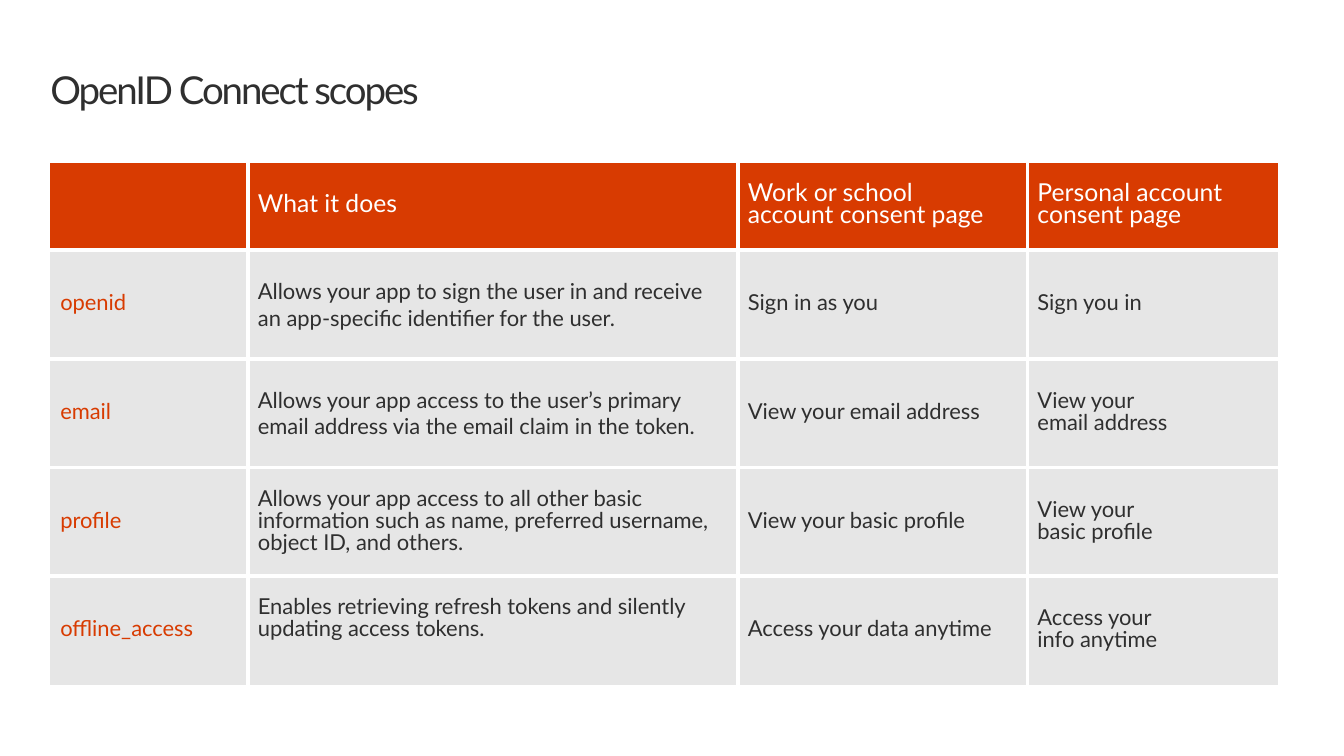
from dataclasses import dataclass

from lxml.etree import SubElement
from pptx import Presentation
from pptx.dml.color import RGBColor as RGB
from pptx.enum.text import MSO_ANCHOR as Anchor, MSO_AUTO_SIZE as AutoSize, PP_ALIGN as Align
from pptx.oxml.ns import qn
from pptx.util import Pt

TITLE = "OpenID Connect scopes"
HEADINGS = ("", "What it does", "Work or school\vaccount consent page",
            "Personal account consent page")
SCOPES = [
    ("openid",
     "Allows your app to sign the user in and receive an app-specific identifier for the user.",
     "Sign in as you", "Sign you in"),
    ("email",
     "Allows your app access to the user’s primary email address via the email claim in the token.",
     "View your email address", "View your\vemail address"),
    ("profile",
     "Allows your app access to all other basic information such as name, "
     "preferred username, object ID, and others.",
     "View your basic profile", "View your\vbasic profile"),
    ("offline_access",
     "Enables retrieving refresh tokens and silently updating access tokens.",
     "Access your data anytime", "Access your\vinfo anytime"),
]
LOOSE_DESCRIPTIONS = {"openid", "email"}
RAISED_DESCRIPTION = "offline_access"


@dataclass(frozen=True)
class Theme:
    font: str = "Lato"
    ink: str = "2F2F2F"
    accent: str = "D83B01"
    panel: str = "E6E6E6"
    white: str = "FFFFFF"
    title_size: int = 28
    heading_size: int = 18
    body_size: int = 16
    title_leading: int = 32
    leading: int = 16
    gap: int = 3


THEME = Theme()
SLIDE_W, SLIDE_H = 979.2, 550.8
LEFT, TITLE_TOP, TABLE_TOP = 36.7, 49.7, 118.8
TITLE_W, TITLE_H = 908, 32.4
COLUMN_WIDTHS = (144, 357, 211, 182.2)
HEADING_H, SCOPE_H = 63.4, 79.2


def write(frame, text, size, color, leading=None, tracking=None):
    paragraph = frame.paragraphs[0]
    paragraph.text = text
    paragraph.alignment = Align.LEFT
    paragraph.line_spacing = Pt(leading) if leading else 1.0
    for run in paragraph.runs:
        run.font.name = THEME.font
        run.font.size = Pt(size)
        run.font.bold = False
        run.font.color.rgb = RGB.from_string(color)
        if tracking:
            run.font._element.set("spc", str(int(tracking * 100)))


def rule_cell(cell, inner_sides):
    """Draw white gaps on the inner sides and leave the outer sides without a line."""
    properties = cell._tc.get_or_add_tcPr()
    for side in "LRTB":
        line = SubElement(properties, qn(f"a:ln{side}"), w=str(Pt(THEME.gap)))
        if side in inner_sides:
            fill = SubElement(line, qn("a:solidFill"))
            SubElement(fill, qn("a:srgbClr"), val=THEME.white)
        else:
            SubElement(line, qn("a:noFill"))


def add_title(slide):
    title = slide.shapes.title
    title.left, title.top = Pt(LEFT), Pt(TITLE_TOP)
    title.width, title.height = Pt(TITLE_W), Pt(TITLE_H)
    frame = title.text_frame
    frame.margin_left = frame.margin_right = frame.margin_top = frame.margin_bottom = 0
    frame.word_wrap = True
    frame.vertical_anchor = Anchor.TOP
    frame.auto_size = AutoSize.SHAPE_TO_FIT_TEXT
    write(frame, TITLE, THEME.title_size, THEME.ink, THEME.title_leading, tracking=-1.5)


def add_scope_table(slide):
    rows = [HEADINGS, *SCOPES]
    heights = [HEADING_H] + [SCOPE_H] * len(SCOPES)
    last_row, last_column = len(rows) - 1, len(HEADINGS) - 1
    table = slide.shapes.add_table(len(rows), len(HEADINGS), Pt(LEFT), Pt(TABLE_TOP),
                                   Pt(sum(COLUMN_WIDTHS)), Pt(sum(heights))).table
    table.horz_banding = False
    for column, width in zip(table.columns, COLUMN_WIDTHS):
        column.width = Pt(width)
    for row, height in zip(table.rows, heights):
        row.height = Pt(height)

    for r, entries in enumerate(rows):
        for c, text in enumerate(entries):
            cell = table.cell(r, c)
            edges = {"L": c > 0, "R": c < last_column, "T": r > 0, "B": r < last_row}
            rule_cell(cell, {side for side, inner in edges.items() if inner})
            cell.fill.solid()
            cell.fill.fore_color.rgb = RGB.from_string(THEME.panel if r else THEME.accent)
            cell.vertical_anchor = Anchor.MIDDLE
            is_description = r > 0 and c == 1
            if is_description and entries[0] == RAISED_DESCRIPTION:
                cell.margin_bottom += Pt(THEME.leading)
            if r == 0:
                size, color = THEME.heading_size, THEME.white
            else:
                size, color = THEME.body_size, THEME.ink if c else THEME.accent
            loose = is_description and entries[0] in LOOSE_DESCRIPTIONS
            write(cell.text_frame, text, size, color, None if loose else THEME.leading)


def main():
    deck = Presentation()
    deck.slide_width, deck.slide_height = Pt(SLIDE_W), Pt(SLIDE_H)
    slide = deck.slides.add_slide(deck.slide_layouts.get_by_name("Title Only"))
    add_title(slide)
    add_scope_table(slide)
    deck.save("out.pptx")


if __name__ == "__main__":
    main()
